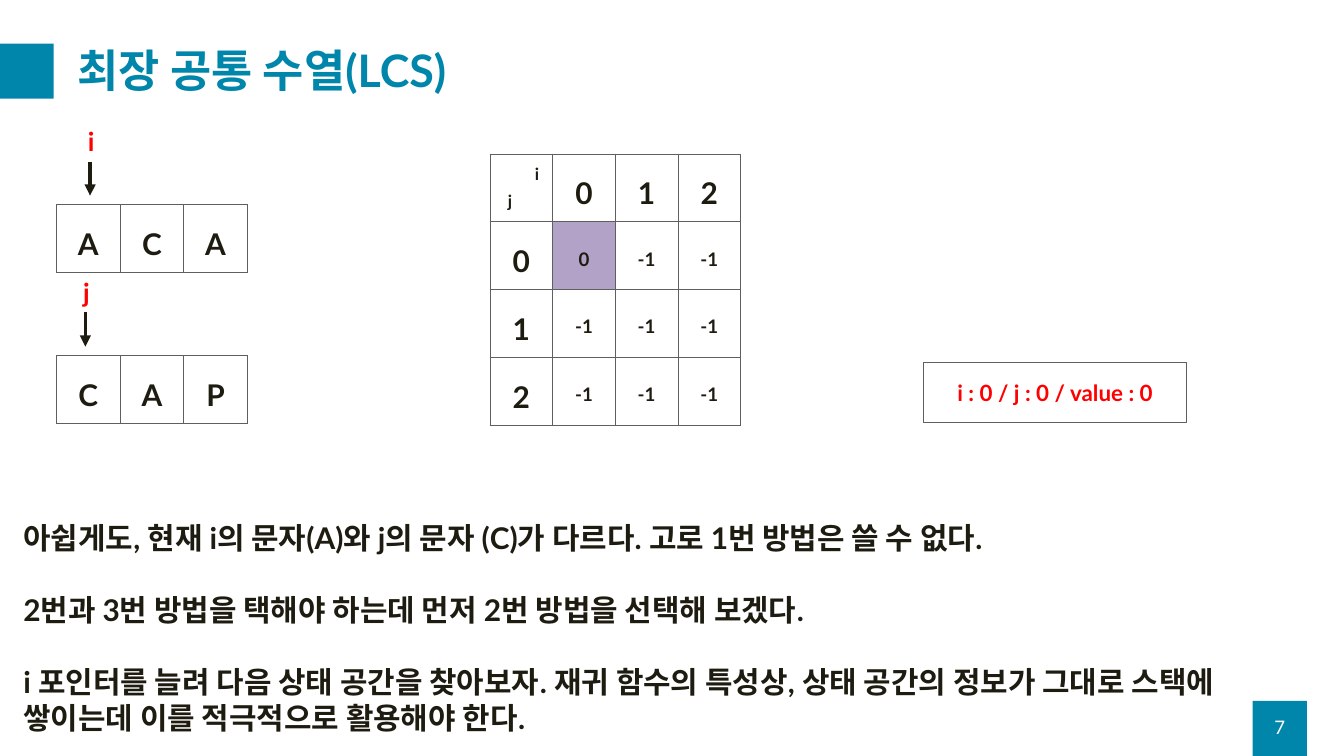
from lxml import etree
from pptx import Presentation
from pptx.dml.color import RGBColor
from pptx.enum.shapes import MSO_CONNECTOR, MSO_SHAPE
from pptx.enum.text import MSO_ANCHOR, PP_ALIGN
from pptx.oxml.ns import qn
from pptx.util import Pt

LEFT, CENTER = PP_ALIGN.LEFT, PP_ALIGN.CENTER
TOP, MIDDLE = MSO_ANCHOR.TOP, MSO_ANCHOR.MIDDLE
RECTANGLE, STRAIGHT = MSO_SHAPE.RECTANGLE, MSO_CONNECTOR.STRAIGHT

FONT = "Lato"
COLORS = {
    "accent": "0086AB",
    "ink": "1E1C11",
    "red": "FF0000",
    "border": "5F5F5F",
    "current": "B3A2C7",
    "white": "FFFFFF",
}
ROW_HEIGHT = 72.6
EXPLANATION = [
    "아쉽게도, 현재 i의 문자(A)와 j의 문자 (C)가 다르다. 고로 1번 방법은 쓸 수 없다.",
    "2번과 3번 방법을 택해야 하는데 먼저 2번 방법을 선택해 보겠다.",
    "i 포인터를 늘려 다음 상태 공간을 찾아보자. 재귀 함수의 특성상, 상태 공간의 정보가 "
    "그대로 스택에 쌓이는데 이를 적극적으로 활용해야 한다.",
]
MEMO = [
    ["", "0", "1", "2"],
    ["0", "0", "-1", "-1"],
    ["1", "-1", "-1", "-1"],
    ["2", "-1", "-1", "-1"],
]


def rgb(name):
    return RGBColor.from_string(COLORS[name])


def format_paragraph(paragraph, size, color, bold=True, align=LEFT, spacing=None):
    paragraph.alignment = align
    if spacing:
        paragraph.line_spacing = spacing
    for run in paragraph.runs:
        run.font.name = FONT
        run.font.size = Pt(size)
        run.font.bold = bold
        run.font.color.rgb = rgb(color)


def add_text(slide, box, text, size, color, anchor=TOP, **style):
    frame = slide.shapes.add_textbox(*map(Pt, box)).text_frame
    frame.word_wrap = True
    frame.vertical_anchor = anchor
    frame.text = text
    for paragraph in frame.paragraphs:
        format_paragraph(paragraph, size, color, **style)
    return frame


def add_rectangle(slide, box, fill, line=None):
    rectangle = slide.shapes.add_shape(RECTANGLE, *map(Pt, box))
    rectangle.shadow.inherit = False
    rectangle.fill.solid()
    rectangle.fill.fore_color.rgb = rgb(fill)
    if line:
        rectangle.line.color.rgb = rgb(line)
        rectangle.line.width = Pt(1)
    else:
        rectangle.line.fill.background()
    return rectangle


def add_down_arrow(slide, x, y, length):
    arrow = slide.shapes.add_connector(STRAIGHT, Pt(x), Pt(y), Pt(x), Pt(y + length))
    arrow.line.color.rgb = rgb("ink")
    arrow.line.width = Pt(4)
    etree.SubElement(arrow.line._get_or_add_ln(), qn("a:tailEnd"), type="triangle")
    etree.SubElement(arrow._element.spPr, qn("a:effectLst"))


def set_borders(cell):
    properties = cell._tc.get_or_add_tcPr()
    for position, side in enumerate(("a:lnL", "a:lnR", "a:lnT", "a:lnB")):
        line = etree.Element(qn(side), w=str(Pt(1)))
        fill = etree.SubElement(line, qn("a:solidFill"))
        etree.SubElement(fill, qn("a:srgbClr"), val=COLORS["border"])
        properties.insert(position, line)


def add_grid(slide, left, top, column_width, values, is_header, current=None):
    """Draw a bordered table; header cells are large, the current cell is tinted."""
    rows, columns = len(values), len(values[0])
    table = slide.shapes.add_table(
        rows, columns, Pt(left), Pt(top),
        Pt(column_width * columns), Pt(ROW_HEIGHT * rows),
    ).table
    table.first_row = table.horz_banding = False
    for column in table.columns:
        column.width = Pt(column_width)
    for r, row in enumerate(values):
        table.rows[r].height = Pt(ROW_HEIGHT)
        for c, value in enumerate(row):
            cell = table.cell(r, c)
            cell.text = value
            size, spacing = (32, 1.5) if is_header(r, c) else (20, 2.0)
            format_paragraph(cell.text_frame.paragraphs[0], size, "ink",
                             align=CENTER, spacing=spacing)
            cell.fill.solid()
            cell.fill.fore_color.rgb = rgb("current" if (r, c) == current else "white")
            set_borders(cell)


def add_header(slide, left, top, width, height, title):
    add_rectangle(slide, (left - 0.7, top + 10.8, 58.3, 59), "accent")
    add_text(slide, (left + 76.3, top, width - 76.3, height), title, 48, "accent",
             anchor=MIDDLE, spacing=0.9)


def add_page_number(slide, left, top, width, height, number):
    add_rectangle(slide, (left, top, width, height), "accent")
    add_text(slide, (left, top + 6.5, width, 43.2), number, 20, "white",
             anchor=MIDDLE, bold=False, align=CENTER)


def add_sequence(slide, left, top, letters, pointer, pointer_offset):
    """Place a pointer label and arrow above a row of letters."""
    pointer_left = left + pointer_offset
    add_grid(slide, left, top + 88, 68.2, [list(letters)], lambda r, c: True)
    add_down_arrow(slide, pointer_left + 9.4, top + 41.8, 36.5)
    add_text(slide, (pointer_left, top, 76.3, 41), pointer, 28, "red")


def add_memo_table(slide, left, top):
    add_grid(slide, left, top, 67.2, MEMO, lambda r, c: r == 0 or c == 0, current=(1, 1))
    add_text(slide, (left + 41, top + 7.2, 76.3, 28.8), "i", 18, "ink")
    add_text(slide, (left + 12.2, top + 36, 76.3, 28.8), "j", 18, "ink")


def add_state_box(slide, left, top, width, height, state):
    frame = add_rectangle(slide, (left, top, width, height), "white", "border").text_frame
    frame.text = state
    frame.vertical_anchor = MIDDLE
    format_paragraph(frame.paragraphs[0], 24, "red", align=CENTER)


def add_explanation(slide, left, top, width, height):
    frame = add_text(slide, (left, top, width, height), "\n".join(EXPLANATION), 32, "ink")
    for paragraph in frame.paragraphs[1:]:
        paragraph.space_before = Pt(38.5)


def main():
    deck = Presentation()
    deck.slide_width, deck.slide_height = Pt(1440), Pt(810)
    slide = deck.slides.add_slide(deck.slide_layouts[6])
    add_page_number(slide, 1342, 751, 58.3, 59, "7")
    add_header(slide, 0, 36, 1390, 85, "최장 공통 수열(LCS)")
    add_explanation(slide, 18, 553.7, 1379.5, 239.8)
    add_sequence(slide, 60.5, 131.3, "ACA", "i", 26.6)
    add_sequence(slide, 60.5, 293, "CAP", "j", 21.6)
    add_memo_table(slide, 524.9, 164.9)
    add_state_box(slide, 989.3, 388.8, 282.2, 64.1, "i : 0 / j : 0 / value : 0")
    deck.save("out.pptx")


if __name__ == "__main__":
    main()
